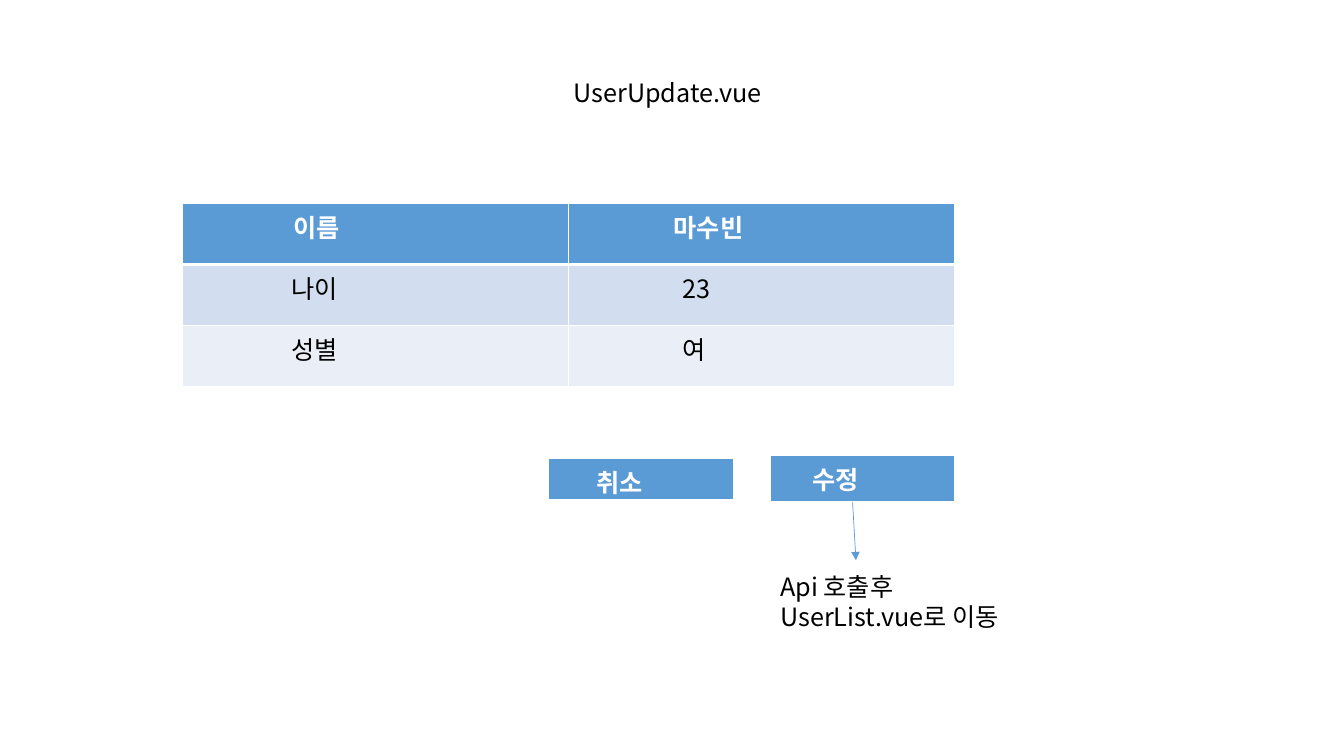
import pptx
import pptx.dml.color
import pptx.enum.shapes
import pptx.oxml.ns
import pptx.util
from lxml import etree

RGBColor = pptx.dml.color.RGBColor
BLACK = RGBColor(0x00, 0x00, 0x00)
WHITE = RGBColor(0xFF, 0xFF, 0xFF)
BLUE = RGBColor(0x5B, 0x9B, 0xD5)
BAND_DARK = RGBColor(0xD2, 0xDE, 0xEF)
BAND_LIGHT = RGBColor(0xEA, 0xEF, 0xF7)
FONT = "Noto Sans CJK KR"
qn = pptx.oxml.ns.qn

deck = pptx.Presentation()
deck.slide_width = pptx.util.Inches(13.33)
deck.slide_height = pptx.util.Inches(7.5)
COL = deck.slide_width / 160
ROW = deck.slide_height / 90
slide = deck.slides.add_slide(deck.slide_layouts[6])


def write(frame, text, color=BLACK, bold=False, size=18):
    frame.word_wrap = True
    run = frame.paragraphs[0].add_run()
    run.text = text
    run.font.name = FONT
    run.font.size = pptx.util.Pt(size)
    run.font.bold = bold
    run.font.color.rgb = color
    # Hangul takes the East Asian typeface
    etree.SubElement(run.font._element, qn("a:ea"), typeface=FONT)


def add_form(left, top, col_width, row_height, rows):
    """Draw a table whose rows hold (text, indent) pairs, given in grid units."""
    columns = len(rows[0])
    table = slide.shapes.add_table(
        len(rows), columns, int(left * COL), int(top * ROW),
        int(col_width * columns * COL), int(row_height * len(rows) * ROW)).table
    for r, row in enumerate(rows):
        header = r == 0
        for c, (text, indent) in enumerate(row):
            cell = table.cell(r, c)
            cell.margin_left = int(indent * COL)
            write(cell.text_frame, text, color=WHITE if header else BLACK, bold=header)
            properties = cell._tc.get_or_add_tcPr()
            for side in ("lnL", "lnR", "lnT", "lnB"):
                thick = (header and side == "lnB") or (r == 1 and side == "lnT")
                border = etree.SubElement(properties, qn("a:" + side),
                                          w=str(pptx.util.Pt(3 if thick else 1)))
                paint = etree.SubElement(border, qn("a:solidFill"))
                etree.SubElement(paint, qn("a:srgbClr"), val=str(WHITE))
            cell.fill.solid()
            cell.fill.fore_color.rgb = BLUE if header else (BAND_LIGHT, BAND_DARK)[r % 2]


# User details
add_form(21.7, 24.25, 46, 7.24, [
    [("이름", 13.2), ("마수빈", 12.5)],
    [("나이", 13), ("23", 13.6)],
    [("성별", 13), ("여", 13.6)],
])

# Page name and the note on what saving does
for text, left, top, width, height in [
    ("UserUpdate.vue", 67.1, 8.64, 49.9, 4.8),
    ("Api 호출후 UserList.vue로 이동", 91.7, 67.44, 31.1, 8.5),
]:
    caption = slide.shapes.add_textbox(
        int(left * COL), int(top * ROW), int(width * COL), int(height * ROW))
    write(caption.text_frame, text)

# Buttons
add_form(91.7, 54.25, 22, 5.64, [[("수정", 5)]])
add_form(65.3, 54.6, 22, 5.04, [[("취소", 5.7)]])

# Arrow from the save button to its note
arrow = slide.shapes.add_connector(
    pptx.enum.shapes.MSO_CONNECTOR.STRAIGHT,
    int(101.5 * COL), int(59.8 * ROW), int(101.9 * COL), int(66.7 * ROW))
arrow.line.color.rgb = BLUE
arrow.line.width = pptx.util.Pt(0.5)
etree.SubElement(arrow.line._get_or_add_ln(), qn("a:tailEnd"), type="triangle")
etree.SubElement(arrow._element.spPr, qn("a:effectLst"))

deck.save("out.pptx")
